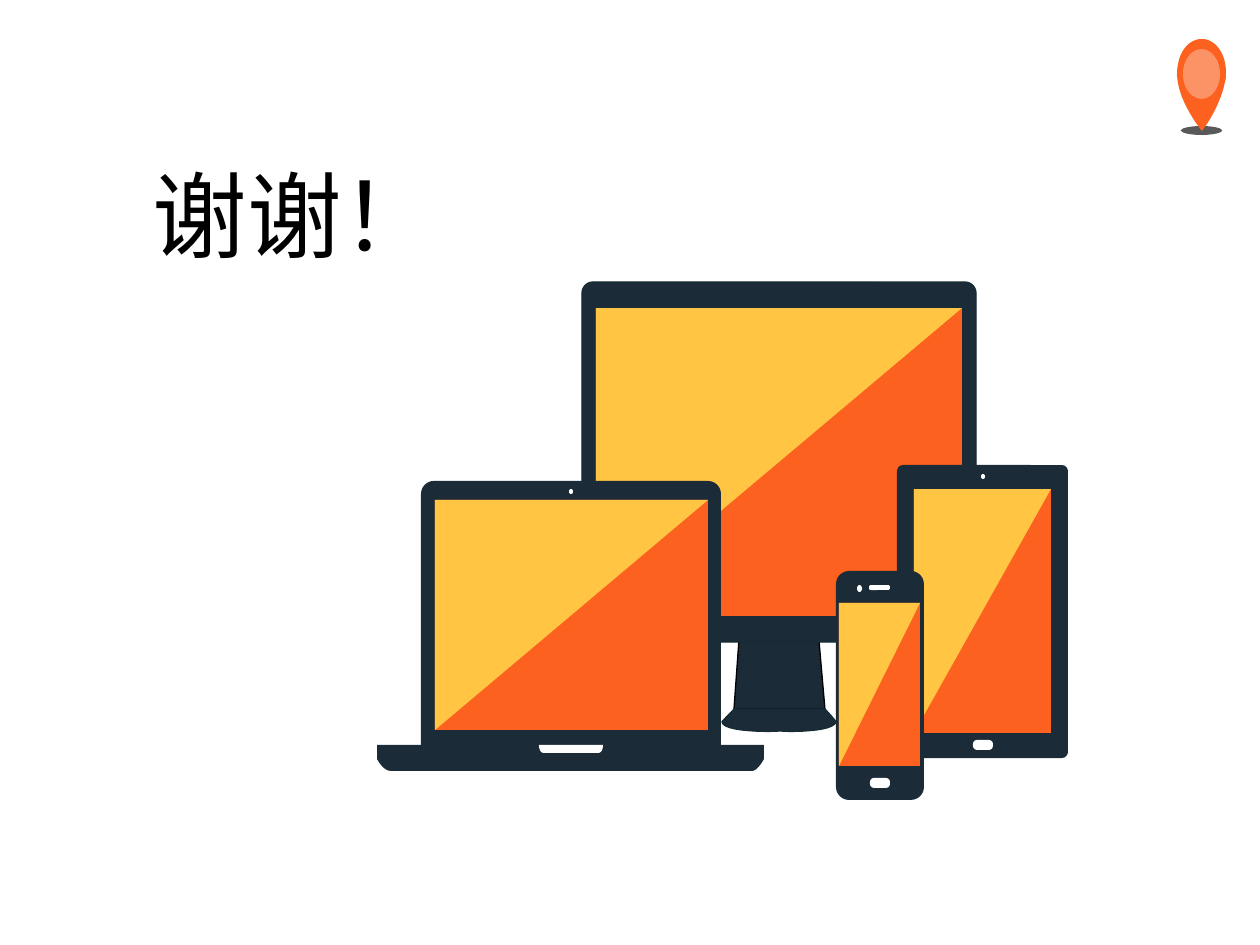
import pptx
import pptx.util
import pptx.dml.color
import pptx.enum.shapes
import pptx.enum.text
import lxml.etree
from dataclasses import dataclass

SHAPE = pptx.enum.shapes.MSO_SHAPE
EMU_PER_PX = 914400 / 126
CURVE_STEPS = 12


@dataclass(frozen=True)
class Theme:
    dark: str = "1C2B38"
    edge: str = "152C34"
    orange: str = "FC611F"
    yellow: str = "FFC543"
    white: str = "FFFFFF"
    black: str = "000000"
    shade: str = "595959"
    font: str = "Calibri"
    title_size: int = 54
    line_width: float = 0.75


THEME = Theme()

TITLE = {"text": "谢谢！", "box": (140, 151, 318, 127)}

PIN_SHADOW = (1181, 126, 41, 9)
PIN_GLASS = (1183, 49, 37, 50)
PIN_OUTLINE = [
    (1226, 72),
    (1226, 53, 1215, 39, 1202, 39),
    (1188, 39, 1177, 53, 1177, 75),
    (1178, 102, 1202, 131, 1202, 131),
    (1217, 111, 1223, 92, 1225, 82),
    (1226, 79, 1226, 77, 1226, 72),
]

STAND_NECK = [(739, 640), (819, 640), (825, 709), (734, 709)]
STAND_FOOT = [
    (825, 709),
    (734, 709),
    (733, 711, 722, 721, 722, 722),
    (723, 732, 770, 732, 780, 731),
    (789, 732, 834, 732, 836, 722),
    (836, 721, 827, 711, 825, 709),
]
KEYBOARD = [
    (377, 745),
    (764, 745),
    (764, 759),
    (759, 768, 755, 771, 752, 771),
    (391, 771),
    (387, 771, 382, 768, 377, 759),
]
KEYBOARD_NOTCH = [
    (539, 745),
    (603, 745),
    (603, 750, 601, 753, 598, 753),
    (544, 753),
    (541, 753, 539, 750, 539, 745),
]

DEVICES = [
    {"body": (582, 282, 394, 360), "radius": 11, "edge": THEME.edge,
     "screen": (596, 308, 366, 308)},
    {"body": (897, 465, 171, 293), "radius": 6,
     "screen": (914, 489, 137, 244),
     "camera": (981, 474, 4, 5), "buttons": [(973, 740, 20, 10)]},
    {"body": (421, 481, 300, 280), "radius": 13,
     "screen": (435, 500, 273, 230),
     "camera": (569, 489, 4, 5),
     "outlines": [(KEYBOARD, THEME.dark), (KEYBOARD_NOTCH, THEME.white)]},
    {"body": (836, 571, 88, 229), "radius": 13,
     "screen": (839, 603, 81, 163),
     "camera": (857, 585, 5, 7),
     "buttons": [(870, 778, 20, 10), (869, 585, 21, 5)]},
]


def px(value):
    return round(value * EMU_PER_PX)


def color(code):
    return pptx.dml.color.RGBColor.from_string(code)


def paint(part, fill, edge=None):
    part.shadow.inherit = False
    part.fill.solid()
    part.fill.fore_color.rgb = color(fill)
    if edge:
        part.line.color.rgb = color(edge)
        part.line.width = pptx.util.Pt(THEME.line_width)
    else:
        part.line.fill.background()
    return part


def add_preset(slide, preset, box, fill, edge=None, radius=None):
    part = slide.shapes.add_shape(preset, *map(px, box))
    if radius:
        part.adjustments[0] = radius / min(box[2:])
    return paint(part, fill, edge)


def flatten(outline):
    points = [outline[0]]
    for step in outline[1:]:
        if len(step) == 2:
            points.append(step)
            continue
        controls = [points[-1], step[:2], step[2:4], step[4:]]
        for index in range(1, CURVE_STEPS + 1):
            t = index / CURVE_STEPS
            weights = ((1 - t) ** 3, 3 * t * (1 - t) ** 2, 3 * t * t * (1 - t), t ** 3)
            points.append(tuple(
                sum(w * c[axis] for w, c in zip(weights, controls)) for axis in (0, 1)))
    return [(px(x), px(y)) for x, y in points]


def add_outline(slide, outline, fill, edge=None):
    start, *rest = flatten(outline)
    builder = slide.shapes.build_freeform(*start, scale=1.0)
    builder.add_line_segments(rest, close=True)
    return paint(builder.convert_to_shape(), fill, edge)


def set_opacity(part, percent):
    tag = "{http://schemas.openxmlformats.org/drawingml/2006/main}"
    fill_color = part.fill._xPr.find(f"{tag}solidFill")[0]
    lxml.etree.SubElement(fill_color, f"{tag}alpha").set("val", str(percent * 1000))


def add_pin(slide):
    add_preset(slide, SHAPE.OVAL, PIN_SHADOW, THEME.shade)
    add_outline(slide, PIN_OUTLINE, THEME.orange)
    set_opacity(add_preset(slide, SHAPE.OVAL, PIN_GLASS, THEME.white), 32)


def add_device(slide, device):
    add_preset(slide, SHAPE.ROUNDED_RECTANGLE, device["body"], THEME.dark,
               device.get("edge"), device["radius"])
    left, top, width, height = device["screen"]
    add_preset(slide, SHAPE.RECTANGLE, device["screen"], THEME.orange)
    add_outline(slide, [(left, top), (left + width, top), (left, top + height)], THEME.yellow)
    if "camera" in device:
        add_preset(slide, SHAPE.OVAL, device["camera"], THEME.white)
    for button in device.get("buttons", []):
        add_preset(slide, SHAPE.ROUNDED_RECTANGLE, button, THEME.white, radius=min(button[2:]) * 0.4)
    for outline, fill in device.get("outlines", []):
        add_outline(slide, outline, fill)


def add_title(slide):
    title = slide.shapes.title
    title.left, title.top, title.width, title.height = map(px, TITLE["box"])
    frame = title.text_frame
    frame.word_wrap = True
    frame.auto_size = pptx.enum.text.MSO_AUTO_SIZE.NONE
    frame.vertical_anchor = pptx.enum.text.MSO_ANCHOR.TOP
    paragraph = frame.paragraphs[0]
    paragraph.alignment = pptx.enum.text.PP_ALIGN.LEFT
    run = paragraph.add_run()
    run.text = TITLE["text"]
    run.font.name = THEME.font
    run.font.size = pptx.util.Pt(THEME.title_size)
    run.font.color.rgb = color(THEME.black)


def main():
    deck = pptx.Presentation()
    deck.slide_width, deck.slide_height = px(1260), px(945)
    slide = deck.slides.add_slide(deck.slide_layouts[5])
    add_title(slide)
    add_pin(slide)
    add_outline(slide, STAND_NECK, THEME.dark, THEME.black)
    add_outline(slide, STAND_FOOT, THEME.dark, THEME.edge)
    for device in DEVICES:
        add_device(slide, device)
    deck.save("out.pptx")


if __name__ == "__main__":
    main()
